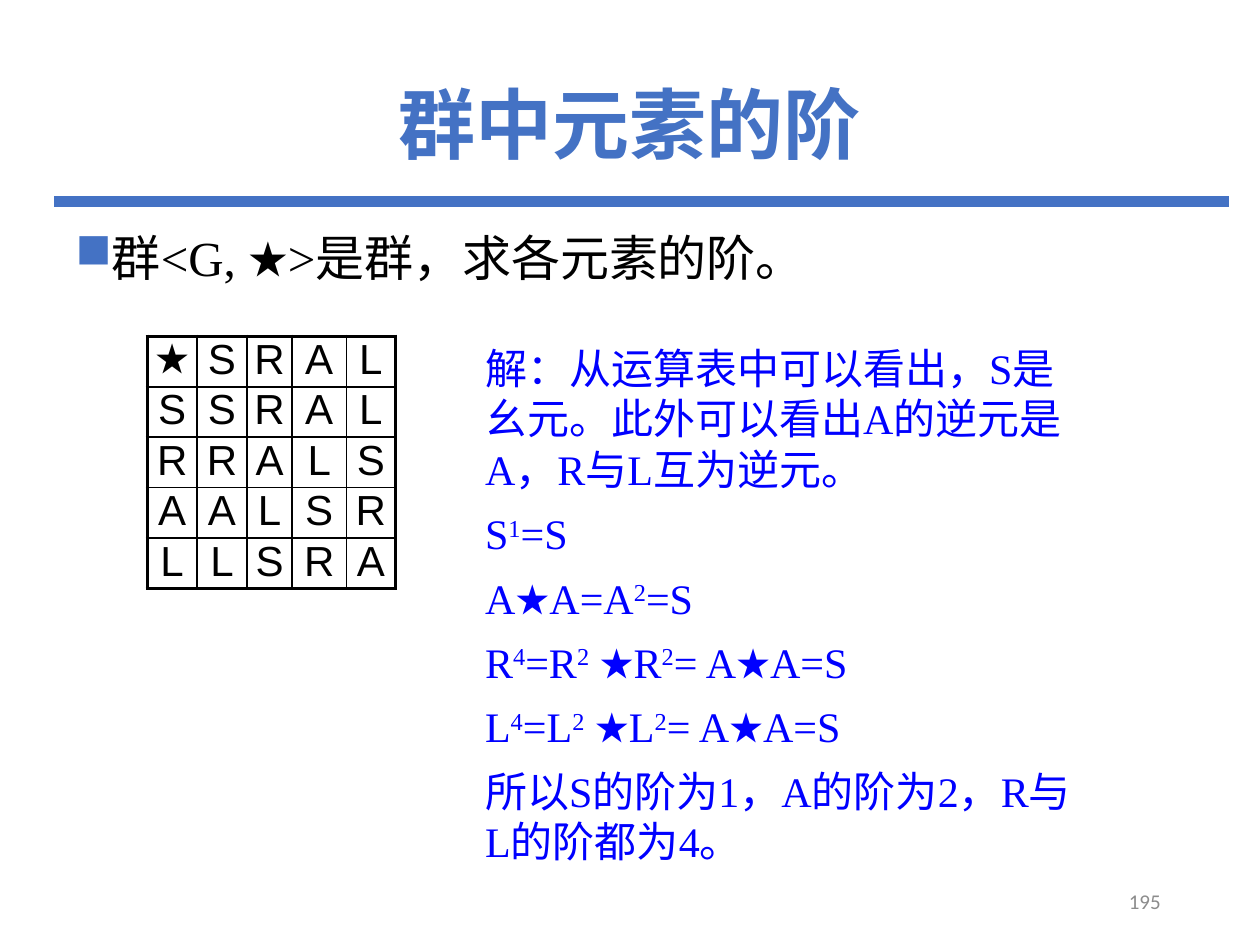
import dataclasses

import pptx
import pptx.dml.color
import pptx.enum.shapes
import pptx.enum.text
import pptx.oxml.ns
import pptx.util
from lxml import etree

Cm = pptx.util.Cm
Pt = pptx.util.Pt
ALIGN = pptx.enum.text.PP_ALIGN
ANCHOR = pptx.enum.text.MSO_ANCHOR


@dataclasses.dataclass(frozen=True)
class Style:
    font: str
    size: int
    color: str
    bold: bool = False


@dataclasses.dataclass(frozen=True)
class Theme:
    accent: str = "4472C4"
    ink: str = "000000"
    title: Style = Style("Noto Sans CJK SC", 44, "4472C4", True)
    question: Style = Style("Times New Roman", 28, "000000")
    solution: Style = Style("Times New Roman", 24, "0000FF")
    operator: Style = Style("Times New Roman", 24, "000000")
    element: Style = Style("Arial", 24, "000000")
    page: Style = Style("Calibri", 12, "8C8C8C")
    rule_width: float = 6
    outer_border: float = 2.25
    inner_border: float = 1


THEME = Theme()

OPERATION_ROWS = ["★SRAL", "SSRAL", "RRALS", "AALSR", "LLSRA"]
COLUMN_WIDTHS = [1.0, 1.01, 0.91, 1.09, 0.99]
ROW_HEIGHT = 0.99

SOLUTION = [
    "解：从运算表中可以看出，S是幺元。此外可以看出A的逆元是A，R与L互为逆元。",
    "S^1^=S",
    "A★A=A^2^=S",
    "R^4^=R^2^ ★R^2^= A★A=S",
    "L^4^=L^2^ ★L^2^= A★A=S",
    "所以S的阶为1，A的阶为2，R与L的阶都为4。",
]


def rgb(color):
    return pptx.dml.color.RGBColor.from_string(color)


def add_element(parent, tag, **attributes):
    return etree.SubElement(parent, pptx.oxml.ns.qn(tag), attributes)


def apply_style(paragraph, style, align=ALIGN.LEFT):
    paragraph.alignment = align
    font = paragraph.font
    font.name = style.font
    font.size = Pt(style.size)
    font.bold = style.bold
    font.color.rgb = rgb(style.color)


def write_powers(paragraph, text):
    for position, part in enumerate(text.split("^")):
        run = paragraph.add_run()
        run.text = part
        if position % 2:
            run.font._element.set("baseline", "30000")


def add_text(slide, left, top, width, height, lines, style,
             align=ALIGN.LEFT, anchor=ANCHOR.TOP, gap=0):
    frame = slide.shapes.add_textbox(Cm(left), Cm(top), Cm(width), Cm(height)).text_frame
    frame.word_wrap = True
    frame.vertical_anchor = anchor
    for number, line in enumerate(lines):
        paragraph = frame.add_paragraph() if number else frame.paragraphs[0]
        write_powers(paragraph, line)
        if number:
            paragraph.space_before = Pt(gap)
        apply_style(paragraph, style, align)
    return frame


def add_question(slide):
    frame = add_text(slide, 1.27, 4.47, 22.86, 2,
                     ["群<G, ★>是群，求各元素的阶。"], THEME.question)
    paragraph = frame.paragraphs[0]
    properties = paragraph._p.get_or_add_pPr()
    properties.set("marL", str(Cm(0.64)))
    properties.set("indent", str(-Cm(0.64)))
    bullet_color = etree.Element(pptx.oxml.ns.qn("a:buClr"))
    add_element(bullet_color, "a:srgbClr", val=THEME.accent)
    bullet = etree.Element(pptx.oxml.ns.qn("a:buChar"), {"char": "■"})
    properties.insert(0, bullet_color)
    properties.insert(1, bullet)


def add_rule(slide):
    rule = slide.shapes.add_connector(
        pptx.enum.shapes.MSO_CONNECTOR.STRAIGHT, Cm(1.09), Cm(4.06), Cm(24.77), Cm(4.06))
    rule.line.color.rgb = rgb(THEME.accent)
    rule.line.width = Pt(THEME.rule_width)
    add_element(rule._element.spPr, "a:effectLst")


def add_border(cell, side, is_outer):
    width = THEME.outer_border if is_outer else THEME.inner_border
    border = add_element(cell._tc.get_or_add_tcPr(), f"a:ln{side}", w=str(Pt(width)))
    add_element(add_element(border, "a:solidFill"), "a:srgbClr", val=THEME.ink)


def add_operation_table(slide):
    last = len(OPERATION_ROWS) - 1
    table = slide.shapes.add_table(
        len(OPERATION_ROWS), len(COLUMN_WIDTHS), Cm(2.97), Cm(6.78),
        Cm(sum(COLUMN_WIDTHS)), Cm(ROW_HEIGHT * len(OPERATION_ROWS))).table
    table.first_row = table.horz_banding = False
    for column, width in zip(table.columns, COLUMN_WIDTHS):
        column.width = Cm(width)
    for r, symbols in enumerate(OPERATION_ROWS):
        table.rows[r].height = Cm(ROW_HEIGHT)
        for c, symbol in enumerate(symbols):
            cell = table.cell(r, c)
            cell.margin_left = cell.margin_right = 0
            cell.margin_top = cell.margin_bottom = 0
            cell.text = symbol
            style = THEME.operator if symbol == "★" else THEME.element
            apply_style(cell.text_frame.paragraphs[0], style, ALIGN.CENTER)
            outer_sides = {"L": c == 0, "R": c == last, "T": r == 0, "B": r == last}
            for side, is_outer in outer_sides.items():
                add_border(cell, side, is_outer)
            cell.fill.background()


def main():
    deck = pptx.Presentation()
    deck.slide_width, deck.slide_height = Cm(25.4), Cm(19.05)
    slide = deck.slides.add_slide(deck.slide_layouts[6])
    add_rule(slide)
    add_question(slide)
    add_text(slide, 17.93, 17.65, 5.72, 1.02, ["195"], THEME.page,
             ALIGN.RIGHT, ANCHOR.MIDDLE)
    add_operation_table(slide)
    add_text(slide, 9.53, 6.78, 12.4, 11.02, SOLUTION, THEME.solution, gap=8)
    title = add_text(slide, 1.75, 1.02, 21.9, 3.15, ["群中元素的阶"], THEME.title,
                     ALIGN.CENTER, ANCHOR.MIDDLE)
    title.paragraphs[0].line_spacing = 0.9
    deck.save("out.pptx")


if __name__ == "__main__":
    main()
